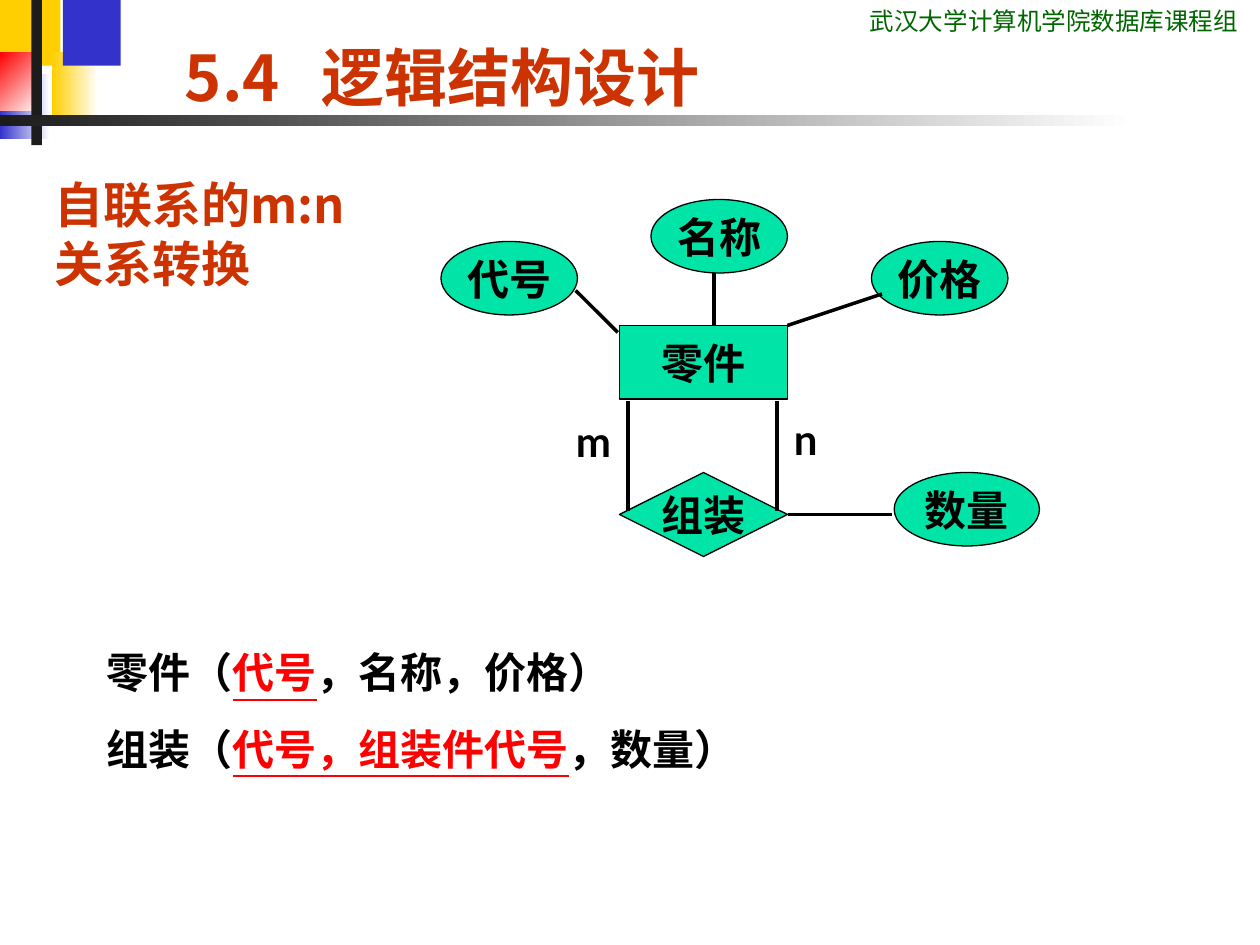
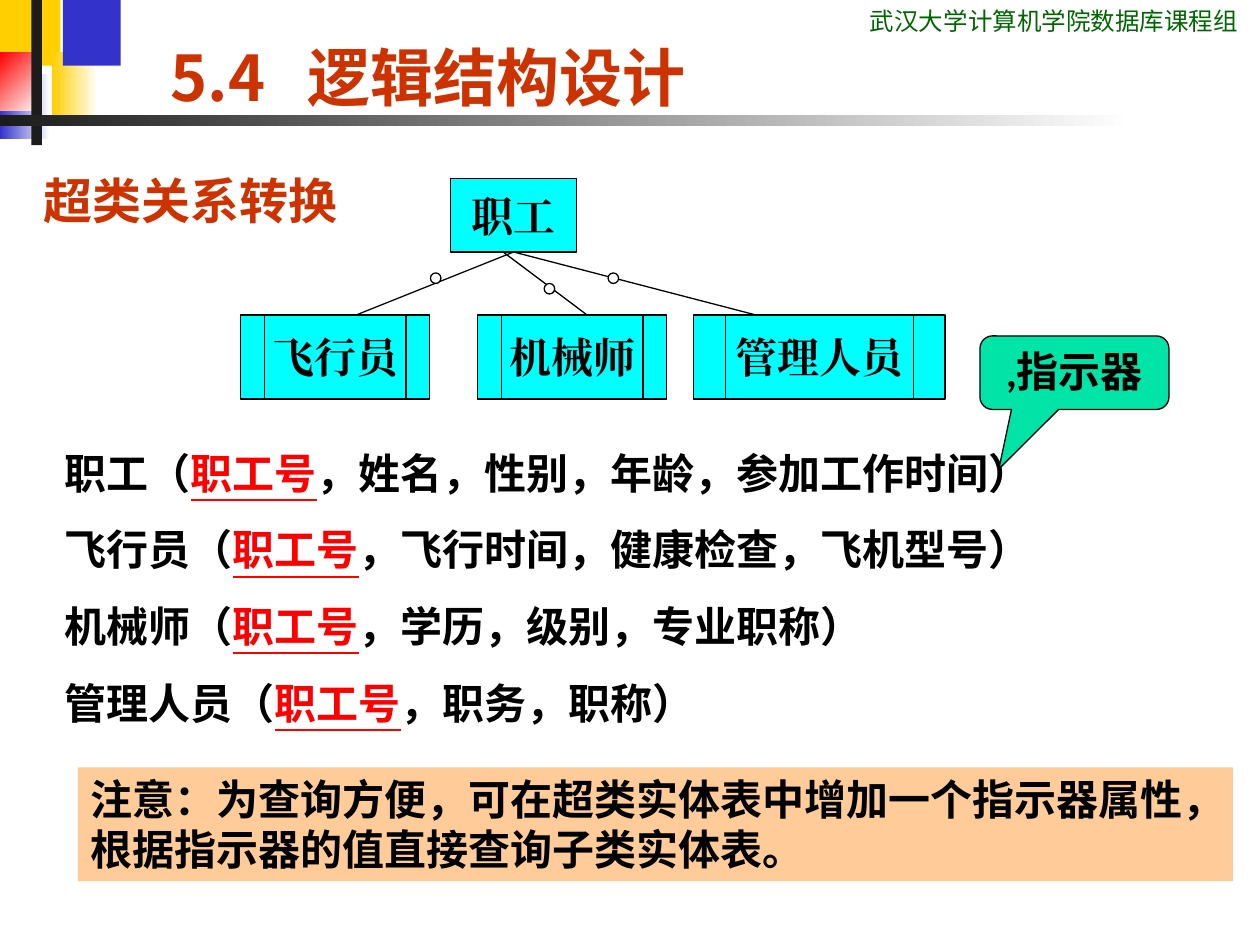
from lxml import etree
from pptx import Presentation
from pptx.dml.color import RGBColor
from pptx.enum import shapes, text
from pptx.oxml import ns
from pptx.util import Pt

BLACK = RGBColor(0x00, 0x00, 0x00)
WHITE = RGBColor(0xFF, 0xFF, 0xFF)
CHARCOAL = RGBColor(0x1C, 0x1C, 0x1C)
GOLD = RGBColor(0xFF, 0xCF, 0x01)
BLUE = RGBColor(0x33, 0x33, 0xCC)
RED = RGBColor(0xFF, 0x00, 0x00)
RUST = RGBColor(0xCC, 0x33, 0x00)
DARK_GREEN = RGBColor(0x00, 0x66, 0x00)
MINT = RGBColor(0x00, 0xE4, 0xA8)
CYAN = RGBColor(0x00, 0xFF, 0xFF)
PEACH = RGBColor(0xFF, 0xCC, 0x99)

BODY_FONT = "Lato"
HEADING_FONT = "Noto Sans CJK SC"
SERIF_FONT = "Times New Roman"
HEADER_FONT = "Roboto Condensed"

RECTANGLE = shapes.MSO_SHAPE.RECTANGLE
OVAL = shapes.MSO_SHAPE.OVAL
DECISION = shapes.MSO_SHAPE.FLOWCHART_DECISION
SUBTYPE = shapes.MSO_SHAPE.FLOWCHART_PREDEFINED_PROCESS
CALLOUT = shapes.MSO_SHAPE.ROUNDED_RECTANGULAR_CALLOUT
CENTER = text.PP_ALIGN.CENTER
TOP, MIDDLE, BOTTOM = (text.MSO_ANCHOR.TOP, text.MSO_ANCHOR.MIDDLE,
                       text.MSO_ANCHOR.BOTTOM)


def points(*lengths):
    return [Pt(length) for length in lengths]


def write(shape, paragraphs, font=BODY_FONT, size=24, color=BLACK, bold=True,
          align=text.PP_ALIGN.LEFT, anchor=TOP, wrap=True, gap=0,
          line_height=None, tab=None, left_inset=7.2, bottom_inset=3.6):
    frame = shape.text_frame
    frame.word_wrap = wrap
    frame.vertical_anchor = anchor
    frame.margin_left, frame.margin_right = points(left_inset, 7.2)
    frame.margin_top, frame.margin_bottom = points(3.6, bottom_inset)
    for index, runs in enumerate(paragraphs):
        paragraph = frame.add_paragraph() if index else frame.paragraphs[0]
        paragraph.alignment = align
        if index:
            paragraph.space_before = Pt(gap)
        if line_height:
            paragraph.line_spacing = Pt(line_height)
        if tab:
            stops = etree.SubElement(paragraph._p.get_or_add_pPr(), ns.qn("a:tabLst"))
            etree.SubElement(stops, ns.qn("a:tab"), pos=str(Pt(tab)), algn="l")
        for content, is_key in runs:
            run = paragraph.add_run()
            run.text = content
            run.font.name = font
            run.font.size = Pt(size)
            run.font.bold = bold
            run.font.underline = is_key
            run.font.color.rgb = RED if is_key else color
            etree.SubElement(run.font._element, ns.qn("a:ea"), typeface=font)


def plain(content):
    return [[(content, False)]]


def add_label(slide, box, content, **style):
    shape = slide.shapes.add_textbox(*points(*box))
    write(shape, plain(content), **style)


def add_block(slide, kind, box, fill, outlined=False):
    shape = slide.shapes.add_shape(kind, *points(*box))
    shape.shadow.inherit = False
    if isinstance(fill, RGBColor):
        shape.fill.solid()
        shape.fill.fore_color.rgb = fill
    else:
        start, end, angle = fill
        shape.fill.gradient()
        shape.fill.gradient_angle = angle
        for stop, color, position in zip(shape.fill.gradient_stops, (start, end), (0, 1)):
            stop.color.rgb = color
            stop.position = position
    if outlined:
        shape.line.color.rgb = BLACK
        shape.line.width = Pt(0.75)
    else:
        shape.line.fill.background()
    return shape


def add_node(slide, kind, box, content, fill, font=BODY_FONT):
    shape = add_block(slide, kind, box, fill, outlined=True)
    write(shape, plain(content), font=font, align=CENTER, anchor=MIDDLE, wrap=False)
    return shape


def add_line(slide, start, end, width):
    connector = slide.shapes.add_connector(shapes.MSO_CONNECTOR.STRAIGHT,
                                           *points(*start, *end))
    connector.line.color.rgb = BLACK
    connector.line.width = Pt(width)
    etree.SubElement(connector._element.spPr, ns.qn("a:effectLst"))
    return connector


def draw_frame(slide, title_shift=0):
    for box, fill in (
        ((0, 0, 34.5, 37.5), GOLD),
        ((30, 30, 26, 37.5), (WHITE, GOLD, 180)),
        ((36, 0, 33, 37.5), BLUE),
        ((0, 42, 28.5, 37.5), (WHITE, BLUE, 180)),
        ((0, 30, 24, 33), (RED, WHITE, 315)),
        ((18, 0, 6, 83), CHARCOAL),
        ((0, 66, 648, 6), (WHITE, CHARCOAL, 180)),
    ):
        add_block(slide, RECTANGLE, box, fill)
    add_label(slide, (490, 0, 230, 24.5), "武汉大学计算机学院数据库课程组",
              font=HEADER_FONT, size=14, color=DARK_GREEN, bold=False)
    add_label(slide, (90.5, 0, 491, 66), "5.4\t逻辑结构设计",
              font=HEADING_FONT, size=36, color=RUST, anchor=BOTTOM, tab=78,
              left_inset=7.2 + title_shift, bottom_inset=0.6)


def add_subtitle(slide, box, content):
    add_label(slide, box, content, font=HEADING_FONT, size=28, color=RUST,
              anchor=BOTTOM, line_height=33.5, bottom_inset=1)


def add_relations(slide, box, relations):
    shape = slide.shapes.add_textbox(*points(*box))
    write(shape, [[(name + "（", False), (key, True), ("，" + rest + "）", False)]
                  for name, key, rest in relations], gap=15)


def draw_part_diagram(slide, left, top):
    def node(kind, x, y, width, height, content):
        return add_node(slide, kind, (left + x, top + y, width, height), content, MINT)

    node(RECTANGLE, 102, 72, 96, 42, "零件")
    for x, y, width, content in ((0, 24, 78, "代号"), (120, 0, 78, "名称"),
                                 (259, 156, 83, "数量"), (246, 24, 78, "价格")):
        node(OVAL, x, y, width, 42, content)
    assembly = node(DECISION, 102, 156, 96, 48, "组装")

    def link(x1, y1, x2, y2):
        return add_line(slide, (left + x1, top + y1), (left + x2, top + y2), 2)

    for ends in ((107, 115, 107, 178), (192, 115, 192, 178), (156, 42, 156, 72),
                 (77, 52, 101, 76), (198, 72, 252, 54)):
        link(*ends)
    link(198, 180, 258, 180).begin_connect(assembly, 3)
    add_label(slide, (left + 70, top + 120, 30, 36), "m")
    add_label(slide, (left + 194.5, top + 119, 42, 36), "n")


def draw_staff_tree(slide, left, top):
    def node(kind, x, y, width, height, content):
        return add_node(slide, kind, (left + x, top + y, width, height),
                        content, CYAN, SERIF_FONT)

    staff = node(RECTANGLE, 120, 0, 72, 42, "职工")
    for x, width, content in ((0, 108, "飞行员"), (135.5, 108, "机械师"),
                              (259, 143.5, "管理人员")):
        node(SUBTYPE, x, 78, width, 48, content)
    for start_x, end_x, ring_x, ring_y in ((156, 66, 108.5, 54),
                                           (150, 198, 173.5, 60),
                                           (156, 294.5, 210, 54)):
        branch = add_line(slide, (left + start_x, top + 42), (left + end_x, top + 78), 0.75)
        if start_x == 156:
            branch.begin_connect(staff, 2)
        add_block(slide, OVAL, (left + ring_x, top + ring_y, 6, 6), WHITE, outlined=True)


def add_note(slide, box, content):
    write(add_block(slide, RECTANGLE, box, PEACH), plain(content))


def add_indicator(slide, box, content):
    callout = add_block(slide, CALLOUT, box, MINT, outlined=True)
    for index, value in enumerate((-0.4, 1.31, 0.17)):
        callout.adjustments[index] = value
    write(callout, plain(content), align=CENTER)


def build_self_relation(slide):
    draw_frame(slide, title_shift=8)
    draw_part_diagram(slide, 252, 114)
    add_relations(slide, (54, 366, 558, 80), (
        ("零件", "代号", "名称，价格"),
        ("组装", "代号，组装件代号", "数量"),
    ))
    add_subtitle(slide, (24, 96, 198, 72), "自联系的m:n关系转换")


def build_supertype(slide):
    draw_frame(slide)
    draw_staff_tree(slide, 137.5, 102)
    add_relations(slide, (30, 252, 666, 168), (
        ("职工", "职工号", "姓名，性别，年龄，参加工作时间"),
        ("飞行员", "职工号", "飞行时间，健康检查，飞机型号"),
        ("机械师", "职工号", "学历，级别，专业职称"),
        ("管理人员", "职工号", "职务，职称"),
    ))
    add_note(slide, (44.5, 438.5, 660, 65),
             "注意：为查询方便，可在超类实体表中增加一个指示器属性，根据指示器的值直接查询子类实体表。")
    add_indicator(slide, (560, 192, 108, 42), ",指示器")
    add_subtitle(slide, (18, 84, 198, 48), "超类关系转换")


def main():
    presentation = Presentation()
    presentation.slide_width, presentation.slide_height = points(720, 540)
    for build in (build_self_relation, build_supertype):
        build(presentation.slides.add_slide(presentation.slide_layouts[6]))
    presentation.save("out.pptx")


if __name__ == "__main__":
    main()
